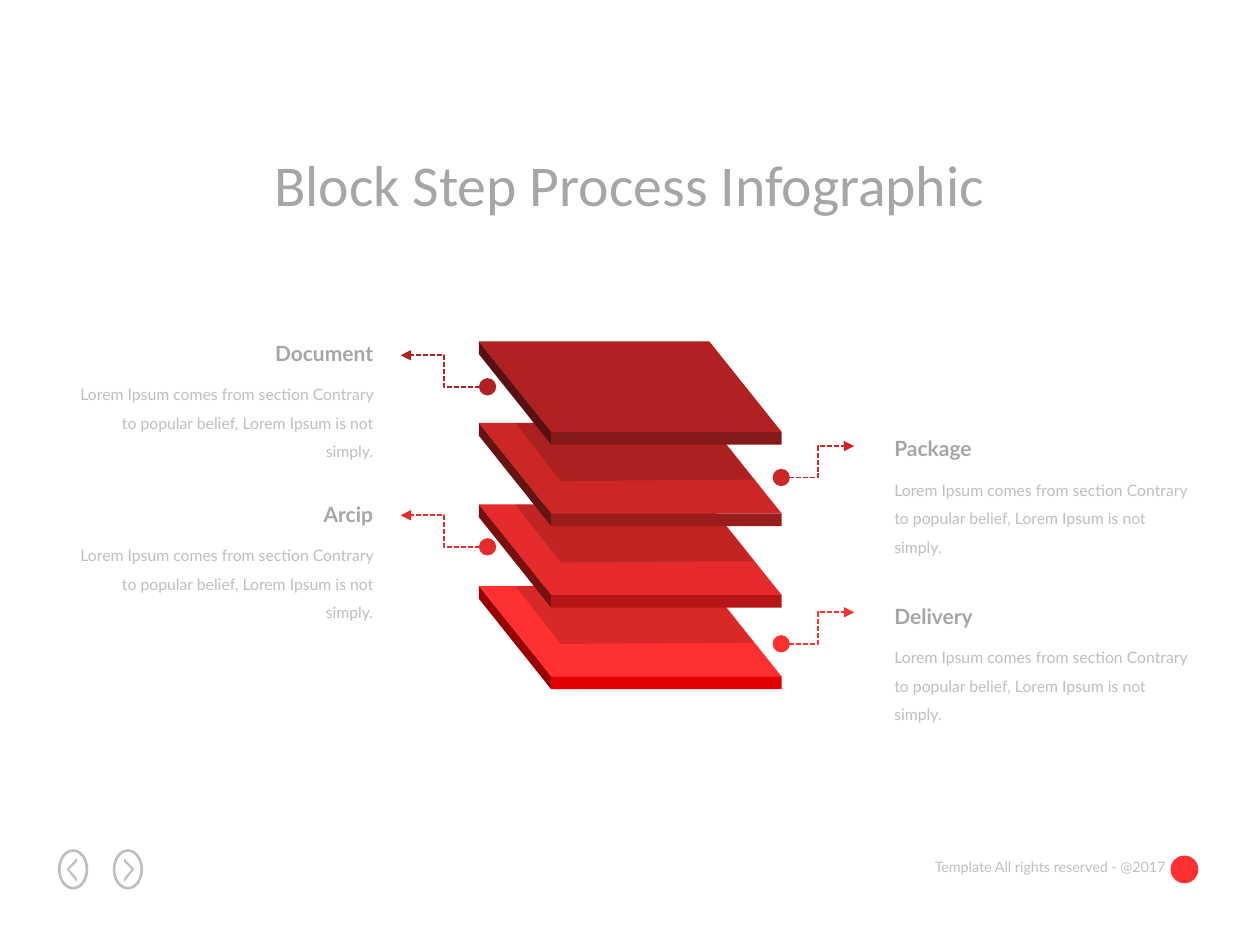
from lxml import etree
from pptx import Presentation
from pptx.dml.color import RGBColor
from pptx.enum import dml, shapes, text
from pptx.oxml import ns
from pptx.util import Inches, Pt

TITLE = "Block Step Process Infographic"
FOOTER = "Template All rights reserved - @2017"
BODY = ("Lorem Ipsum comes from section Contrary to popular belief, "
        "Lorem Ipsum is not simply.")
GREY, LIGHT, RED = "A6A6A6", "BFBFBF", "FF3030"
LEFT, RIGHT, CENTER = text.PP_ALIGN.LEFT, text.PP_ALIGN.RIGHT, text.PP_ALIGN.CENTER

LAYERS = [
    ("B22121", "591010", "861919"),
    ("CC2626", "661313", "991D1D"),
    ("E52B2B", "790F0F", "B61616"),
    (RED, "980000", "E30000"),
]
STEPS = [
    ("Document", "left", 2.65, 0.99, 3.07, "B22121"),
    ("Package", "right", 3.41, 0.83, 3.79, "CC2626"),
    ("Arcip", "left", 3.93, 0.60, 4.34, "E52B2B"),
    ("Delivery", "right", 4.74, 0.83, 5.11, RED),
]
STACK_X, STACK_Y, PITCH = 3.8, 2.71, 0.647
WIDTH, SLANT, DEPTH, THICK = 1.83, 0.575, 0.72, 0.1
BODY_W, LEFT_EDGE, RIGHT_EDGE = 2.57, 3.06, 7.0
NAV = [(0.58, 1), (1.015, -1)]
NAV_Y = 6.9


def rgb(hex_color):
    return RGBColor.from_string(hex_color)


def paint(sp, color, alpha=None):
    sp.shadow.inherit = False
    sp.fill.solid()
    sp.fill.fore_color.rgb = rgb(color)
    sp.line.fill.background()
    if alpha:
        clr = sp.fill._xPr.find(".//" + ns.qn("a:srgbClr"))
        etree.SubElement(clr, ns.qn("a:alpha")).set("val", str(alpha * 1000))


def polygon(s, x, y, points, color, alpha=None):
    (x0, y0), *rest = [(Inches(x + dx), Inches(y + dy)) for dx, dy in points]
    fb = s.shapes.build_freeform(x0, y0)
    fb.add_line_segments(rest, close=True)
    paint(fb.convert_to_shape(), color, alpha)


def preset(s, kind, *box):
    return s.shapes.add_shape(kind, *map(Inches, box))


def write(sp, words, size, color, font="Lato", align=LEFT, wrap=False,
          bold=False, spacing=None):
    tf = sp.text_frame
    tf.word_wrap = wrap
    tf.auto_size = text.MSO_AUTO_SIZE.NONE
    tf.vertical_anchor = text.MSO_ANCHOR.TOP
    tf.text = words
    p = tf.paragraphs[0]
    p.alignment = align
    if spacing:
        p.line_spacing = spacing
    p.font.name, p.font.size, p.font.bold = font, Pt(size), bold
    p.font.color.rgb = rgb(color)


def label(s, box, *args, **kwargs):
    write(s.shapes.add_textbox(*map(Inches, box)), *args, **kwargs)


def add_layer(s, y, top, side, front, shaded):
    polygon(s, STACK_X, y, [(0, 0), (WIDTH, 0), (WIDTH + SLANT, DEPTH),
                            (SLANT, DEPTH)], top)
    polygon(s, STACK_X, y, [(0, 0), (0, THICK), (SLANT, DEPTH + THICK),
                            (SLANT, DEPTH)], side)
    paint(preset(s, shapes.MSO_SHAPE.RECTANGLE, STACK_X + SLANT, y + DEPTH,
                 WIDTH, THICK), front)
    if shaded:
        polygon(s, STACK_X, y, [(0.29, 0), (WIDTH, 0), (2.18, 0.45),
                                (0.65, 0.46)], "000000", 15)


def add_leader(s, x1, y1, x2, y2, color):
    c = s.shapes.add_connector(shapes.MSO_CONNECTOR.ELBOW,
                               *map(Inches, (x1, y1, x2, y2)))
    c.line.color.rgb = rgb(color)
    c.line.width = Pt(1)
    c.line.dash_style = dml.MSO_LINE.SQUARE_DOT
    ln = c.line._get_or_add_ln()
    for end, kind, size in (("headEnd", "oval", "lg"), ("tailEnd", "triangle", "med")):
        etree.SubElement(ln, ns.qn("a:" + end), type=kind, w=size, len=size)
    etree.SubElement(c._element.spPr, ns.qn("a:effectLst"))


def add_step(s, name, side, y, name_w, dot_y, color):
    if side == "left":
        align, name_x, body_x = RIGHT, LEFT_EDGE - name_w, LEFT_EDGE - BODY_W
        start, end = 3.87, 3.18
    else:
        align, name_x, body_x = LEFT, RIGHT_EDGE, RIGHT_EDGE
        start, end = 6.2, 6.78
    add_leader(s, start, dot_y, end, dot_y - 0.25, color)
    label(s, (name_x, y, name_w, 0.3), name, 12, GREY, align=align, bold=True)
    label(s, (body_x, y + 0.28, BODY_W, 0.78), BODY, 9, LIGHT, align=align,
          wrap=True, spacing=1.5)


def add_nav(s, x, flip):
    ring = preset(s, shapes.MSO_SHAPE.OVAL, x - 0.11, NAV_Y - 0.15, 0.22, 0.3)
    ring.shadow.inherit = False
    ring.fill.background()
    ring.line.color.rgb = rgb(LIGHT)
    ring.line.width = Pt(1.5)
    arrow = [(0.03, -0.06), (-0.03, 0), (0.03, 0.07),
             (0.03, 0.1), (-0.05, 0), (0.03, -0.09)]
    polygon(s, x, NAV_Y, [(dx * flip, dy) for dx, dy in arrow], LIGHT)


def main():
    prs = Presentation()
    prs.slide_width, prs.slide_height = Inches(10), Inches(7.5)
    s = prs.slides.add_slide(prs.slide_layouts[5])

    title = s.shapes.title
    title.left, title.top, title.width, title.height = map(
        Inches, (1.75, 1.13, 6.49, 0.66))
    write(title, TITLE, 33, GREY, font="Calibri", align=CENTER)

    label(s, (7.25, 6.76, 2.1, 0.24), FOOTER, 8.2, LIGHT, align=RIGHT)
    for x, flip in NAV:
        add_nav(s, x, flip)
    paint(preset(s, shapes.MSO_SHAPE.OVAL, 9.29, 6.79, 0.22, 0.22), RED)

    for i, colors in reversed(list(enumerate(LAYERS))):
        add_layer(s, STACK_Y + i * PITCH, *colors, shaded=i > 0)
    for step in STEPS:
        add_step(s, *step)
    prs.save("out.pptx")


if __name__ == "__main__":
    main()
